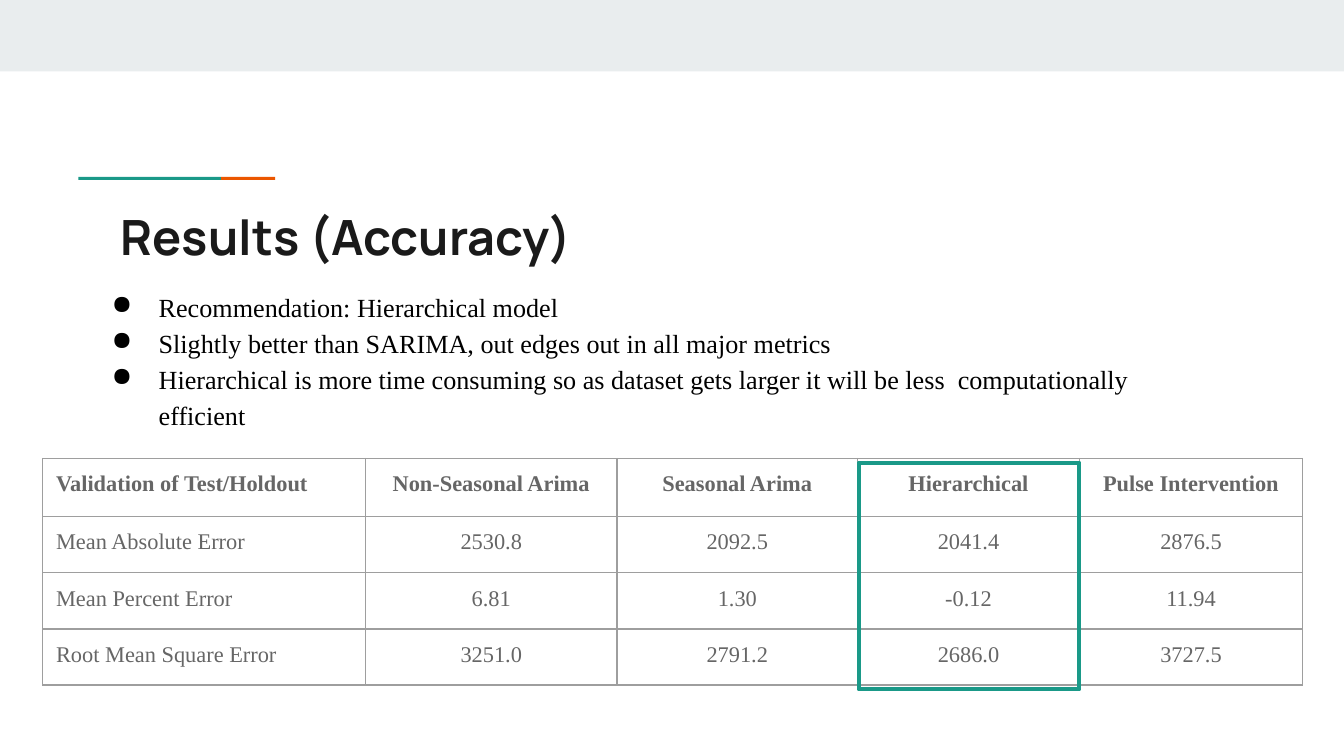
from pptx import Presentation
from pptx.dml.color import RGBColor
from pptx.enum import shapes, text
from pptx.oxml import ns
from pptx.util import Cm, Pt
from lxml import etree

# Content
TITLE = "Results (Accuracy)"
BULLETS = [
    "Recommendation: Hierarchical model",
    "Slightly better than SARIMA, out edges out in all major metrics",
    "Hierarchical is more time consuming so as dataset gets larger "
    "it will be less  computationally efficient",
]
ROWS = [
    ("Validation of Test/Holdout", "Non-Seasonal Arima", "Seasonal Arima",
     "Hierarchical", "Pulse Intervention"),
    ("Mean Absolute Error", "2530.8", "2092.5", "2041.4", "2876.5"),
    ("Mean Percent Error", "6.81", "1.30", "-0.12", "11.94"),
    ("Root Mean Square Error", "3251.0", "2791.2", "2686.0", "3727.5"),
]
BEST = ROWS[0].index("Hierarchical")

# Format, lengths in cm
COLORS = {"band": "E9EDEE", "teal": "1A9988", "orange": "EB5600",
          "title": "1A1A1A", "body": "000000", "cell": "666666", "grid": "9E9E9E"}
TITLE_FONT = {"name": "Manrope", "size": Pt(26), "bold": True}
BODY_FONT = {"name": "Times New Roman", "size": Pt(14)}
CELL_FONT = {"name": "Times New Roman", "size": Pt(12)}
INSET = 0.25
COL_WIDTHS = [6.1, 4.75, 4.55, 4.19, 4.22]
ROW_HEIGHTS = [1.1, 1.06, 1.06, 1.06]
TABLE_LEFT, TABLE_TOP = 0.81, 8.66

prs = Presentation()
prs.slide_width, prs.slide_height = Cm(25.4), Cm(14.28)
s = prs.slides.add_slide(prs.slide_layouts[6])


def rgb(key):
    return RGBColor.from_string(COLORS[key])


def set_font(font, fmt, color):
    for name, value in fmt.items():
        setattr(font, name, value)
    font.color.rgb = rgb(color)


def set_insets(obj):
    for side in ("left", "top", "right", "bottom"):
        setattr(obj, f"margin_{side}", Cm(INSET))


def add_rect(x, y, w, h, fill=None):
    sp = s.shapes.add_shape(shapes.MSO_SHAPE.RECTANGLE, Cm(x), Cm(y), Cm(w), Cm(h))
    sp.shadow.inherit = False
    if fill:
        sp.fill.solid()
        sp.fill.fore_color.rgb = rgb(fill)
        sp.line.fill.background()
    else:
        sp.fill.background()
    return sp


def add_text(x, y, w, h, lines, fmt, color, bullets=False):
    tf = s.shapes.add_textbox(Cm(x), Cm(y), Cm(w), Cm(h)).text_frame
    tf.word_wrap = True
    set_insets(tf)
    for i, line in enumerate(lines):
        p = tf.paragraphs[0] if i == 0 else tf.add_paragraph()
        if bullets:
            p.line_spacing = 1.15
            add_bullet(p, color)
        r = p.add_run()
        r.text = line
        set_font(r.font, fmt, color)


def add_bullet(p, color):
    pPr = p._p.get_or_add_pPr()
    pPr.set("marL", str(Cm(1.27)))
    pPr.set("indent", str(-Cm(0.89)))
    clr = etree.SubElement(pPr, ns.qn("a:buClr"))
    etree.SubElement(clr, ns.qn("a:srgbClr"), val=COLORS[color])
    etree.SubElement(pPr, ns.qn("a:buChar"), char="●")


def set_borders(cell):
    tcPr = cell._tc.get_or_add_tcPr()
    for i, side in enumerate(("lnL", "lnR", "lnT", "lnB")):
        ln = etree.Element(ns.qn(f"a:{side}"), w=str(Pt(0.75)))
        fill = etree.SubElement(ln, ns.qn("a:solidFill"))
        etree.SubElement(fill, ns.qn("a:srgbClr"), val=COLORS["grid"])
        tcPr.insert(i, ln)


# Top band and accent line
add_rect(0, 0, 25.4, 1.35, "band")
add_rect(1.48, 3.34, 2.7, 0.06, "teal")
add_rect(4.18, 3.34, 1.02, 0.06, "orange")

# Title and bullets
add_text(2.03, 3.66, 21.36, 1.5, [TITLE], TITLE_FONT, "title")
add_text(1.48, 5.16, 21.36, 6.27, BULLETS, BODY_FONT, "body", bullets=True)

# Accuracy table
table = s.shapes.add_table(len(ROWS), len(COL_WIDTHS), Cm(TABLE_LEFT), Cm(TABLE_TOP),
                           Cm(sum(COL_WIDTHS)), Cm(sum(ROW_HEIGHTS))).table
for col, width in zip(table.columns, COL_WIDTHS):
    col.width = Cm(width)
for row, height in zip(table.rows, ROW_HEIGHTS):
    row.height = Cm(height)
for i, values in enumerate(ROWS):
    for j, value in enumerate(values):
        cell = table.cell(i, j)
        cell.fill.background()
        set_insets(cell)
        set_borders(cell)
        p = cell.text_frame.paragraphs[0]
        p.alignment = text.PP_ALIGN.CENTER if j else text.PP_ALIGN.LEFT
        r = p.add_run()
        r.text = value
        set_font(r.font, {**CELL_FONT, "bold": i == 0}, "cell")

# Frame around the best model
frame = add_rect(TABLE_LEFT + sum(COL_WIDTHS[:BEST]) + 0.02, TABLE_TOP + 0.08,
                 COL_WIDTHS[BEST] - 0.02, sum(ROW_HEIGHTS))
frame.line.color.rgb = rgb("teal")
frame.line.width = Pt(2.25)
etree.SubElement(frame.line._get_or_add_ln(), ns.qn("a:round"))

prs.save("out.pptx")
